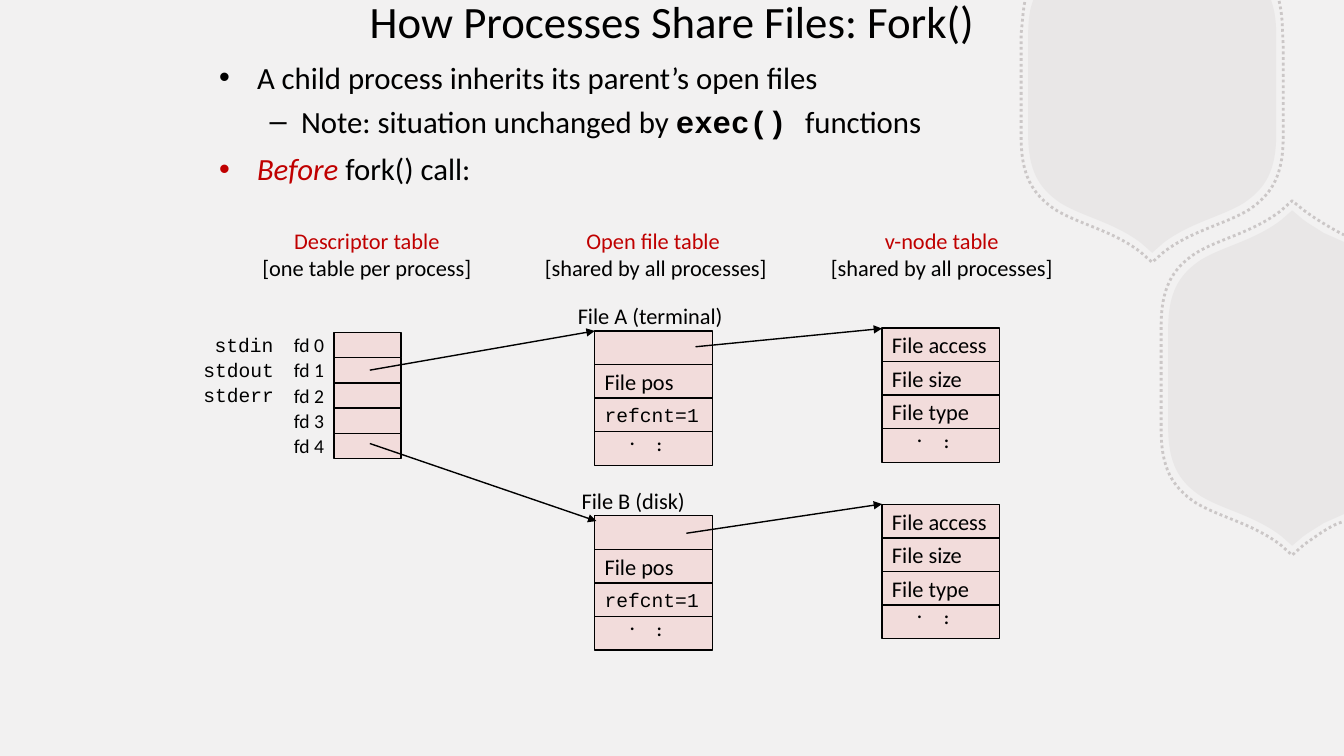
from dataclasses import dataclass

from pptx import Presentation
from pptx import util as u
from pptx.dml.color import RGBColor
from pptx.enum import dml, shapes, text
from pptx.oxml.ns import qn
from pptx.oxml.xmlchemy import OxmlElement

BACKGROUND = RGBColor(0xF2, 0xF1, 0xF1)
HEXAGON = RGBColor(0xB8, 0xB2, 0xB2)
CELL = RGBColor(0xF2, 0xDC, 0xDB)
BLACK = RGBColor(0, 0, 0)
RED = RGBColor(0xC0, 0, 0)
SANS, MONO = "Calibri", "Courier New"
LEFT, CENTER, RIGHT = text.PP_ALIGN.LEFT, text.PP_ALIGN.CENTER, text.PP_ALIGN.RIGHT

# A path is a list of segments: one point for a line, three for a curve
Path = list[tuple[tuple[float, float], ...]]

# Quarter of a hexagon from its side to its tip, relative to its centre
QUARTER: Path = [
    ((88.6, 34.9),),
    ((88.6, 60.5), (81.4, 73.5), (65.5, 84.2)),
    ((49, 94.3), (27.4, 98), (7.9, 112.8)),
    ((0, 119.8),),
]
RING = 93.6 / 88.6  # dotted outline against filled hexagon
UPPER, LOWER = (823, 60.8), (923, 270)


@dataclass
class Span:
    words: str
    color: RGBColor = BLACK
    font: str = SANS
    bold: bool = False
    italic: bool = False


@dataclass
class Bullet:
    spans: list[Span]
    mark: str
    margin: float
    hanging: float
    before: float = 0
    level: int = 0


@dataclass
class Label:
    words: str
    left: float
    top: float
    width: float
    height: float
    size: float = 16
    font: str = SANS
    align: text.PP_ALIGN = LEFT
    grow: bool = True
    first_color: RGBColor = BLACK


@dataclass
class Record:
    left: float
    top: float
    width: float
    row_height: float
    rows: list[str]


@dataclass
class Arrow:
    start: tuple[float, float]
    end: tuple[float, float]


BULLETS = [
    Bullet([Span("A child process inherits its parent’s open files")], "•", 27, 27),
    Bullet([Span("Note: situation unchanged by "), Span("exec() ", font=MONO, bold=True),
            Span("functions")], "–", 58.5, 22.5, 5.3, 1),
    Bullet([Span("Before", RED, italic=True), Span(" fork() call:")], "•", 27, 27, 7.3),
]
FILE_ROWS = ["", "File pos", "refcnt=1", "..."]
VNODE_ROWS = ["File access", "File size", "File type", "..."]
RECORDS = [Record(238.5, 237.5, 48, 18, [""] * 5)]
RECORDS += [Record(424.8, top, 84, 24, FILE_ROWS) for top in (236.4, 368.4)]
RECORDS += [Record(630, top, 84, 24, VNODE_ROWS) for top in (234.2, 360.2)]

PER_PROCESS, SHARED = "[one table per process]", "[shared by all processes]"
LABELS = [
    Label(f"{table}\n{scope}", left, 158.4, width, 46, align=CENTER, first_color=RED)
    for table, scope, left, width in [
        ("Descriptor table", PER_PROCESS, 179.3, 165.6),
        ("Open file table ", SHARED, 380.9, 175),
        ("v-node table", SHARED, 585.2, 175),
    ]
]
LABELS += [Label(f"fd {n}", 190.7, 237.3 + 18 * n, 48, 18, 14, align=RIGHT, grow=False)
           for n in range(5)]
LABELS += [Label(name, 203.2 - width, 233.9 + 18 * n, width, 24.5, 14, MONO)
           for n, (name, width) in enumerate([("stdin", 57), ("stdout", 65), ("stderr", 65)])]
LABELS += [Label("File A (terminal)", 405.6, 212.4, 118.8, 26.6),
           Label("File B (disk)", 408.4, 344.2, 88.6, 26.6)]
ARROWS = [
    Arrow((264.2, 264.4), (424.8, 236.4)),
    Arrow((264.2, 316.8), (426, 372.2)),
    Arrow((496.8, 247.7), (630, 234.7)),
    Arrow((490.3, 380.9), (630, 360)),
]


def quarter(center: tuple[float, float], right: int, down: int, scale: float) -> Path:
    """Side to tip; right and down are 1 or -1."""
    cx, cy = center
    return [tuple((cx + right * scale * x, cy + down * scale * y) for x, y in segment)
            for segment in QUARTER]


def backwards(path: Path) -> Path:
    points = [point for segment in path for point in segment][::-1]
    turned = [(points.pop(0),)]
    for segment in path[:0:-1]:
        turned.append(tuple(points[:len(segment)]))
        del points[:len(segment)]
    return turned


def bottom_half(center: tuple[float, float], scale: float) -> Path:
    return quarter(center, 1, 1, scale) + backwards(quarter(center, -1, 1, scale))[1:]


def left_half(center: tuple[float, float], scale: float) -> Path:
    return backwards(quarter(center, -1, 1, scale)) + quarter(center, -1, -1, scale)


def add_outline(path: Path, filled: bool) -> None:
    points = [(u.Pt(x), u.Pt(y)) for segment in path for x, y in segment]
    builder = slide.shapes.build_freeform(*points[0], scale=1.0)
    builder.add_line_segments(points[1:], close=filled)
    outline = builder.convert_to_shape()
    outline.shadow.inherit = False

    # Join each group of three points into one curve
    drawn = outline.element.spPr.xpath(".//a:path")[0]
    steps = drawn.findall(qn("a:lnTo"))
    for segment in path[1:]:
        group, steps = steps[:len(segment)], steps[len(segment):]
        if len(group) == 3:
            curve = OxmlElement("a:cubicBezTo")
            group[0].addprevious(curve)
            for step in group:
                curve.append(step[0])
                drawn.remove(step)

    if filled:
        outline.fill.solid()
        outline.fill.fore_color.rgb = HEXAGON
        outline.line.fill.background()
    else:
        outline.fill.background()
        outline.line.color.rgb = HEXAGON
        outline.line.width = u.Pt(2)
        outline.line.dash_style = dml.MSO_LINE.ROUND_DOT
    alpha = OxmlElement("a:alpha")
    alpha.set("val", "15000" if filled else "65000")
    outline.element.spPr.xpath(".//a:srgbClr")[0].append(alpha)


def style(run, size: float, span: Span) -> None:
    run.font.size, run.font.name = u.Pt(size), span.font
    run.font.bold, run.font.italic = span.bold, span.italic
    run.font.color.rgb = span.color


def write(frame, label: Label) -> None:
    frame.text = label.words
    frame.word_wrap = False
    frame.vertical_anchor = text.MSO_ANCHOR.MIDDLE
    for n, paragraph in enumerate(frame.paragraphs):
        paragraph.alignment = label.align
        color = BLACK if n else label.first_color
        for run in paragraph.runs:
            style(run, label.size, Span(run.text, color, label.font))


def add_label(label: Label):
    box = slide.shapes.add_textbox(*map(u.Pt, (label.left, label.top, label.width, label.height)))
    write(box.text_frame, label)
    fit = text.MSO_AUTO_SIZE.SHAPE_TO_FIT_TEXT if label.grow else text.MSO_AUTO_SIZE.NONE
    box.text_frame.auto_size = fit
    return box


def add_record(record: Record) -> None:
    for n, words in enumerate(record.rows):
        place = (record.left, record.top + n * record.row_height, record.width, record.row_height)
        cell = slide.shapes.add_shape(shapes.MSO_SHAPE.RECTANGLE, *map(u.Pt, place))
        cell.shadow.inherit = False
        cell.fill.solid()
        cell.fill.fore_color.rgb = CELL
        cell.line.color.rgb = BLACK
        cell.line.width = u.Pt(1)
        if words:
            size, font = (14, MONO) if words.startswith("refcnt") else (16, SANS)
            write(cell.text_frame, Label(words, *place, size, font))
        if words == "...":
            cell.text_frame.word_wrap = True
            cell.text_frame._txBody.bodyPr.set("vert", "eaVert")


def add_arrow(arrow: Arrow) -> None:
    pointer = slide.shapes.add_connector(shapes.MSO_CONNECTOR.STRAIGHT,
                                         *map(u.Pt, arrow.start + arrow.end))
    pointer.line.color.rgb = BLACK
    pointer.line.width = u.Pt(1)
    head = OxmlElement("a:tailEnd")
    head.set("type", "triangle")
    pointer.element.spPr.find(qn("a:ln")).append(head)
    pointer.element.spPr.append(OxmlElement("a:effectLst"))


def add_bullet(paragraph, bullet: Bullet) -> None:
    props = paragraph._p.get_or_add_pPr()
    props.set("marL", str(u.Pt(bullet.margin)))
    props.set("indent", str(-u.Pt(bullet.hanging)))
    tint, face, mark = map(OxmlElement, ("a:buClr", "a:buFont", "a:buChar"))
    rgb = OxmlElement("a:srgbClr")
    rgb.set("val", str(bullet.spans[0].color))
    tint.append(rgb)
    face.set("typeface", "Arial")
    mark.set("char", bullet.mark)
    props.extend([tint, face, mark])
    paragraph.level = bullet.level
    paragraph.space_before = u.Pt(bullet.before)
    for span in bullet.spans:
        run = paragraph.add_run()
        run.text = span.words
        style(run, 22, span)


deck = Presentation()
deck.slide_width, deck.slide_height = u.Pt(960), u.Pt(540)
slide = deck.slides.add_slide(deck.slide_layouts[6])
slide.background.fill.solid()
slide.background.fill.fore_color.rgb = BACKGROUND

# Background hexagons, cut at the slide edges
add_outline([((738, 0),), ((907.9, 0),), ((908.6, 2.2),),
             ((910.8, 8.6), (911.6, 16.6), (911.6, 25.9))] + bottom_half(UPPER, 1)
            + [((734.4, 25.9),), ((734.4, 16.6), (735.1, 8.6), (737.3, 2.2))], True)
add_outline(left_half(LOWER, 1)
            + [((931, 157),), ((936, 160.6), (941, 163.4), (945.4, 166.3)), ((960, 172.8),),
               ((960, 367.2),), ((945.4, 373.7),), ((941, 376.6), (936, 379.4), (931, 383))], True)
add_outline([((913.7, 0.7),), ((916.6, 13.7), (915.8, 21.6), (916.6, 31.7))]
            + bottom_half(UPPER, RING)
            + [((729.4, 23.8),), ((730.1, 18.7), (730.8, 6.5), (732.2, 0.7))], False)
add_outline([((958.3, 373),), ((949, 375.8), (937.4, 385.2), (931.7, 388.8))]
            + left_half(LOWER, RING)
            + [((931.7, 150.5),), ((937.4, 154.8), (949.7, 162.7), (960, 167.8))], False)

# Title and bullets
title = add_label(Label("How Processes Share Files: Fork()", 156.2, -30.2, 648, 90, 32,
                        align=CENTER, grow=False))
title.text_frame.word_wrap = True
points = slide.shapes.add_textbox(*map(u.Pt, (149.5, 38.2, 654.5, 98.6))).text_frame
points.word_wrap = True
for n, bullet in enumerate(BULLETS):
    add_bullet(points.add_paragraph() if n else points.paragraphs[0], bullet)

# Tables, their labels and the pointers between them
for record in RECORDS:
    add_record(record)
for label in LABELS:
    add_label(label)
for arrow in ARROWS:
    add_arrow(arrow)

deck.save("out.pptx")
